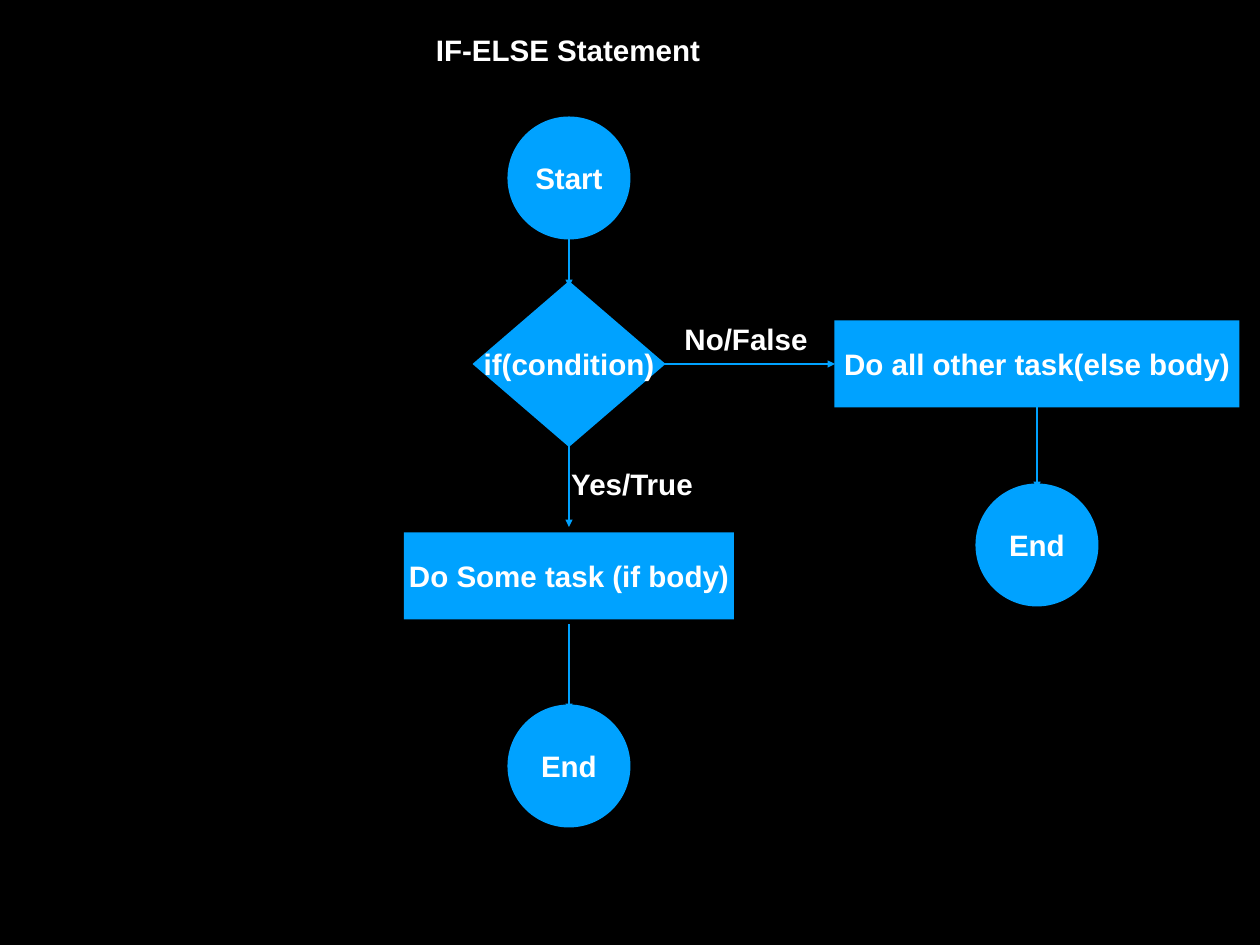
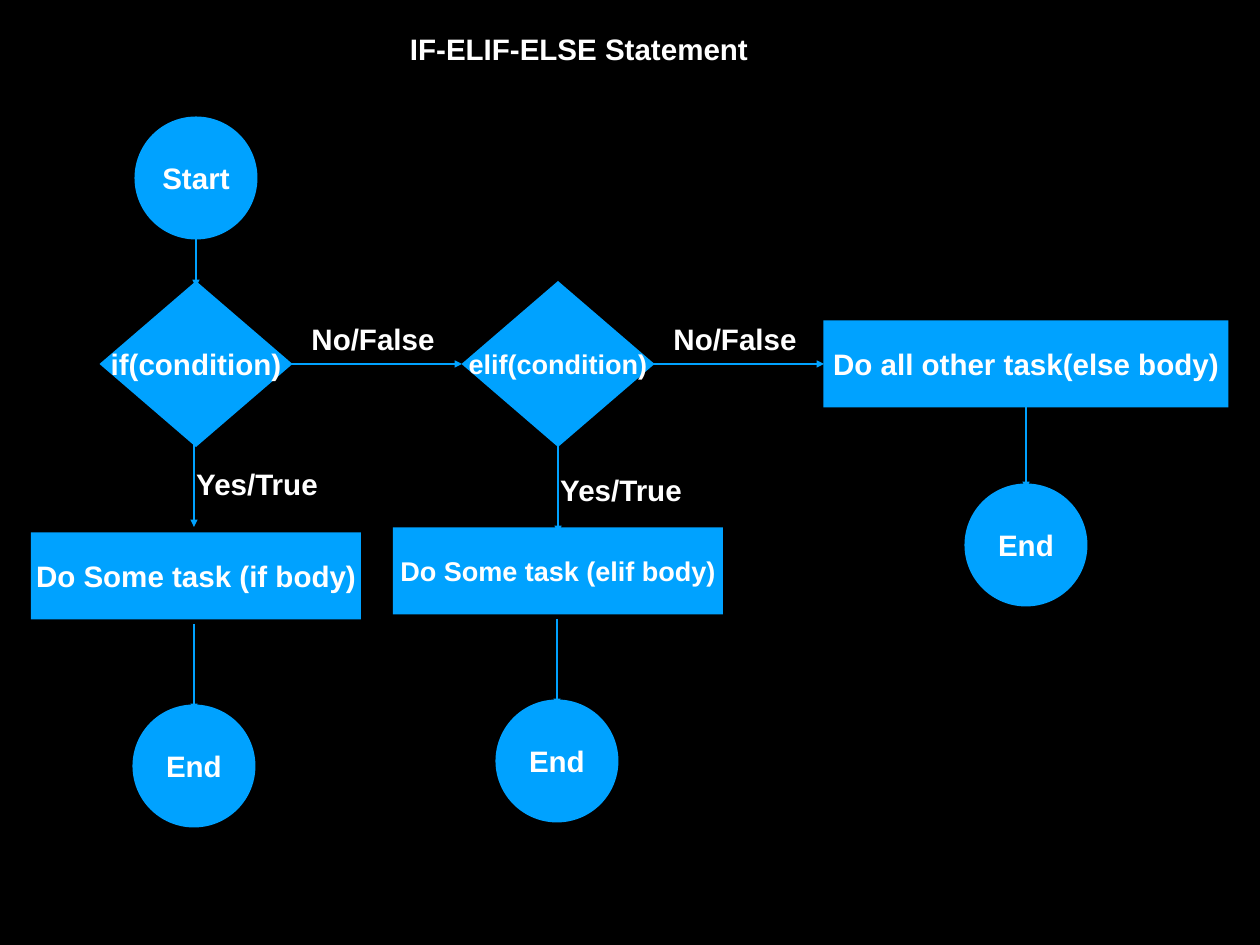
"""Build two flowchart slides about conditional statements."""
import lxml.etree
import pptx
import pptx.dml.color
import pptx.enum.shapes
import pptx.enum.text
import pptx.oxml.ns
import pptx.util

BLACK = pptx.dml.color.RGBColor(0x00, 0x00, 0x00)
WHITE = pptx.dml.color.RGBColor(0xFF, 0xFF, 0xFF)
BLUE = pptx.dml.color.RGBColor(0x00, 0xA2, 0xFF)
EMU_PER_PX = 10320
TITLE_ONLY = 5
ROW_Y = 364
SHAPES = pptx.enum.shapes.MSO_SHAPE


def px(length):
    return pptx.util.Emu(round(length * EMU_PER_PX))


FRAME_FORMAT = {
    "margin_left": px(5),
    "margin_right": px(5),
    "margin_top": px(5),
    "margin_bottom": px(5),
    "word_wrap": False,
    "auto_size": pptx.enum.text.MSO_AUTO_SIZE.NONE,
    "vertical_anchor": pptx.enum.text.MSO_ANCHOR.MIDDLE,
}
FONT_FORMAT = {"name": "Arial", "bold": True}


def apply_format(target, values):
    for name, value in values.items():
        setattr(target, name, value)


def centered_box(x, y, width, height):
    return px(x - width / 2), px(y - height / 2), px(width), px(height)


class Flowchart:
    def __init__(self):
        self.presentation = pptx.Presentation()
        apply_format(self.presentation,
                     {"slide_width": px(1260), "slide_height": px(945)})
        background = self.presentation.slide_master.background.fill
        background.solid()
        background.fore_color.rgb = BLACK
        self.slide = None

    def set_text(self, shape, text, size=24):
        frame = shape.text_frame
        apply_format(frame, FRAME_FORMAT)
        frame.text = text
        paragraph = frame.paragraphs[0]
        paragraph.alignment = pptx.enum.text.PP_ALIGN.CENTER
        apply_format(paragraph.font, {**FONT_FORMAT, "size": pptx.util.Pt(size)})
        paragraph.font.color.rgb = WHITE

    def new_slide(self, title, x, y):
        layout = self.presentation.slide_layouts[TITLE_ONLY]
        self.slide = self.presentation.slides.add_slide(layout)
        placeholder = self.slide.shapes.title
        left, top, width, height = centered_box(x, y, 400, 46)
        apply_format(placeholder, {"left": left, "top": top,
                                   "width": width, "height": height})
        self.set_text(placeholder, title)

    def node(self, kind, text, x, y, width, height, size=24):
        shape = self.slide.shapes.add_shape(kind, *centered_box(x, y, width, height))
        shape.shadow.inherit = False
        shape.fill.solid()
        shape.fill.fore_color.rgb = BLUE
        shape.line.fill.background()
        self.set_text(shape, text, size)

    def circle(self, text, x, y):
        self.node(SHAPES.OVAL, text, x, y, 123, 123)

    def task(self, text, x, y, width, size=24):
        self.node(SHAPES.RECTANGLE, text, x, y, width, 87, size)

    def label(self, text, x, y):
        self.set_text(self.slide.shapes.add_textbox(*centered_box(x, y, 135, 45)), text)

    def arrow(self, x, y, across=0, down=0):
        connector = self.slide.shapes.add_connector(
            pptx.enum.shapes.MSO_CONNECTOR.STRAIGHT,
            px(x), px(y), px(x + across), px(y + down))
        connector.line.color.rgb = BLUE
        connector.line.width = pptx.util.Pt(2)
        properties = connector._element.spPr
        qn = pptx.oxml.ns.qn
        lxml.etree.SubElement(properties.find(qn("a:ln")), qn("a:tailEnd"), type="triangle")
        lxml.etree.SubElement(properties, qn("a:effectLst"))

    def start(self, x):
        self.arrow(x, 230, down=57)
        self.circle("Start", x, 178)

    def branch(self, keyword, x, yes_x, end_x, yes_top=440, task_y=576, size=24):
        self.node(SHAPES.DIAMOND, f"{keyword}(condition)", x, ROW_Y, 193, 166, size)
        self.arrow(x + 88, ROW_Y, across=178)
        self.label("No/False", x + 177, 339)
        self.arrow(yes_x, yes_top, down=87)
        self.label("Yes/True", yes_x + 63, yes_top + 44)
        self.task(f"Do Some task ({keyword} body)", x, task_y, 330, size)
        self.arrow(end_x, task_y + 48, down=87)
        self.circle("End", end_x, task_y + 190)

    def otherwise(self, x):
        self.task("Do all other task(else body)", x, ROW_Y, 405)
        self.arrow(x, 402, down=87)
        self.circle("End", x, 545)


def main():
    chart = Flowchart()

    chart.new_slide("IF-ELSE Statement", 568, 50)
    chart.start(569)
    chart.branch("if", 569, 569, 569)
    chart.otherwise(1037)

    chart.new_slide("IF-ELIF-ELSE Statement", 579, 49)
    chart.start(196)
    chart.branch("if", 196, 194, 194)
    chart.branch("elif", 558, 558, 557, yes_top=446, task_y=571, size=22)
    chart.otherwise(1026)

    chart.presentation.save("out.pptx")


if __name__ == "__main__":
    main()
